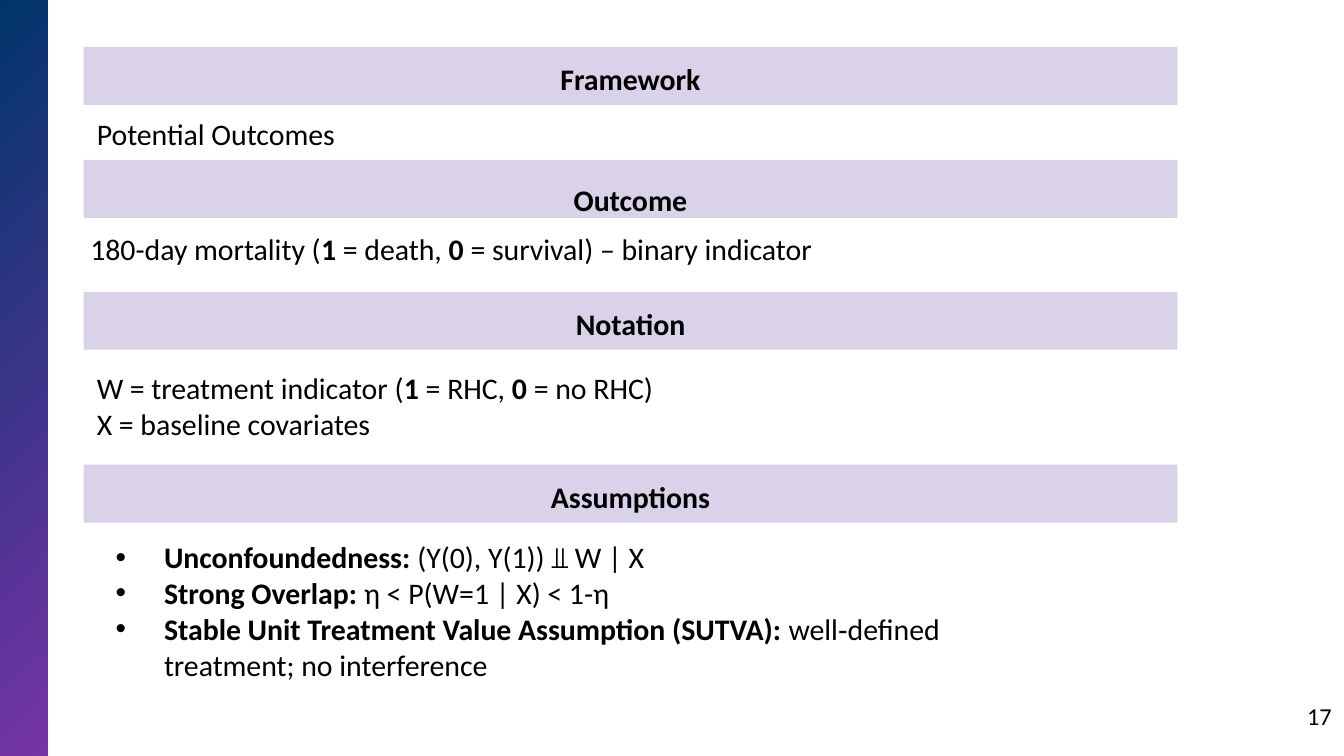
from lxml import etree
from pptx import Presentation
from pptx.dml.color import RGBColor
from pptx.enum import shapes, text
from pptx.oxml.ns import qn
from pptx.util import Pt

THEME = {
    "font": "Calibri", "body": 16, "number": 13,
    "ink": RGBColor.from_string("000000"),
    "bar": RGBColor.from_string("D9D2E9"),
    "strip": ("00356B", "7634A6"),
}
WIDE, TIGHT = (7.2, 7.2), (3.6, 1.8)  # horizontal and vertical insets
LEFT, BAR_WIDTH, BAR_HEIGHT = 44.8, 586, 31

# Content: text between asterisks is bold
SECTIONS = [
    {"heading": "Framework", "bar_top": 25.2, "box": (54.8, 298, 40),
     "lines": ["Potential Outcomes"]},
    {"heading": "Outcome", "bar_top": 85.7, "box": (122, 400, 40), "insets": TIGHT,
     "lines": ["180-day mortality (*1 *= death, *0* = survival) – binary indicator"],
     "title": True},
    {"heading": "Notation", "bar_top": 156.4, "box": (191, 463, 50),
     "lines": ["W = treatment indicator (*1* = RHC, *0 *= no RHC)",
               "X = baseline covariates"]},
    {"heading": "Assumptions", "bar_top": 249, "box": (281.5, 505, 101.5), "bullets": True,
     "lines": ["*Unconfoundedness:* (Y(0), Y(1)) ⫫ W | X",
               "*Strong Overlap:* η < P(W=1 | X) < 1-η",
               "*Stable Unit Treatment Value Assumption (SUTVA): *"
               "well‑defined treatment; no interference"]},
]
PAGE_NUMBER = "17"


def place(shape, left, top, width, height):
    shape.left, shape.top, shape.width, shape.height = map(Pt, (left, top, width, height))


def add_bullet(paragraph):
    properties = paragraph._p.get_or_add_pPr()
    properties.set("marL", str(Pt(36)))
    properties.set("indent", str(Pt(-26)))
    etree.SubElement(properties, qn("a:buFont")).set("typeface", "Arial")
    etree.SubElement(properties, qn("a:buChar")).set("char", "•")


def write(shape, lines, insets=WIDE, size=THEME["body"], align=text.PP_ALIGN.LEFT,
          anchor=text.MSO_ANCHOR.TOP, bullets=False):
    frame = shape.text_frame
    frame.word_wrap = True
    frame.auto_size = text.MSO_AUTO_SIZE.NONE
    frame.vertical_anchor = anchor
    frame.margin_left = frame.margin_right = Pt(insets[0])
    frame.margin_top = frame.margin_bottom = Pt(insets[1])
    for index, line in enumerate(lines):
        paragraph = frame.add_paragraph() if index else frame.paragraphs[0]
        paragraph.alignment = align
        if bullets:
            add_bullet(paragraph)
        font = paragraph.font
        font.name, font.size = THEME["font"], Pt(size)
        font.color.rgb = THEME["ink"]
        for part, words in enumerate(line.split("*")):
            if words:
                run = paragraph.add_run()
                run.text = words
                run.font.bold = part % 2 == 1


def add_text(slide, box, lines, **style):
    write(slide.shapes.add_textbox(*map(Pt, box)), lines, **style)


def add_rectangle(slide, left, top, width, height):
    shape = slide.shapes.add_shape(
        shapes.MSO_SHAPE.RECTANGLE, *map(Pt, (left, top, width, height)))
    shape.shadow.inherit = False
    shape.line.fill.background()
    return shape


def add_heading(slide, section):
    box = (LEFT, section["bar_top"], BAR_WIDTH, BAR_HEIGHT)
    is_title = section.get("title", False)
    if is_title:
        bar = slide.shapes.title
        place(bar, *box)
    else:
        bar = add_rectangle(slide, *box)
    bar.fill.solid()
    bar.fill.fore_color.rgb = THEME["bar"]
    write(bar, [f"*{section['heading']}*"], align=text.PP_ALIGN.CENTER,
          insets=TIGHT if is_title else WIDE,
          anchor=text.MSO_ANCHOR.MIDDLE if is_title else text.MSO_ANCHOR.TOP)
    if is_title:
        bar.text_frame.paragraphs[0].line_spacing = 1.6


def main():
    presentation = Presentation()
    presentation.slide_width, presentation.slide_height = Pt(720), Pt(405)
    slide = presentation.slides.add_slide(presentation.slide_layouts[5])

    # Gradient strip on the left edge
    strip = add_rectangle(slide, 0, 0, 25.5, 405)
    strip.fill.gradient()
    strip.fill.gradient_angle = 315
    for stop, color, position in zip(strip.fill.gradient_stops, THEME["strip"], (0, 1)):
        stop.color.rgb = RGBColor.from_string(color)
        stop.position = position

    # Heading bars with their text below
    for section in SECTIONS:
        add_heading(slide, section)
        top, width, height = section["box"]
        add_text(slide, (LEFT, top, width, height), section["lines"],
                 insets=section.get("insets", WIDE), bullets=section.get("bullets", False))

    # Page number
    add_text(slide, (674, 374, 43, 31), [PAGE_NUMBER], insets=TIGHT,
             size=THEME["number"], align=text.PP_ALIGN.RIGHT)

    presentation.save("out.pptx")


if __name__ == "__main__":
    main()
